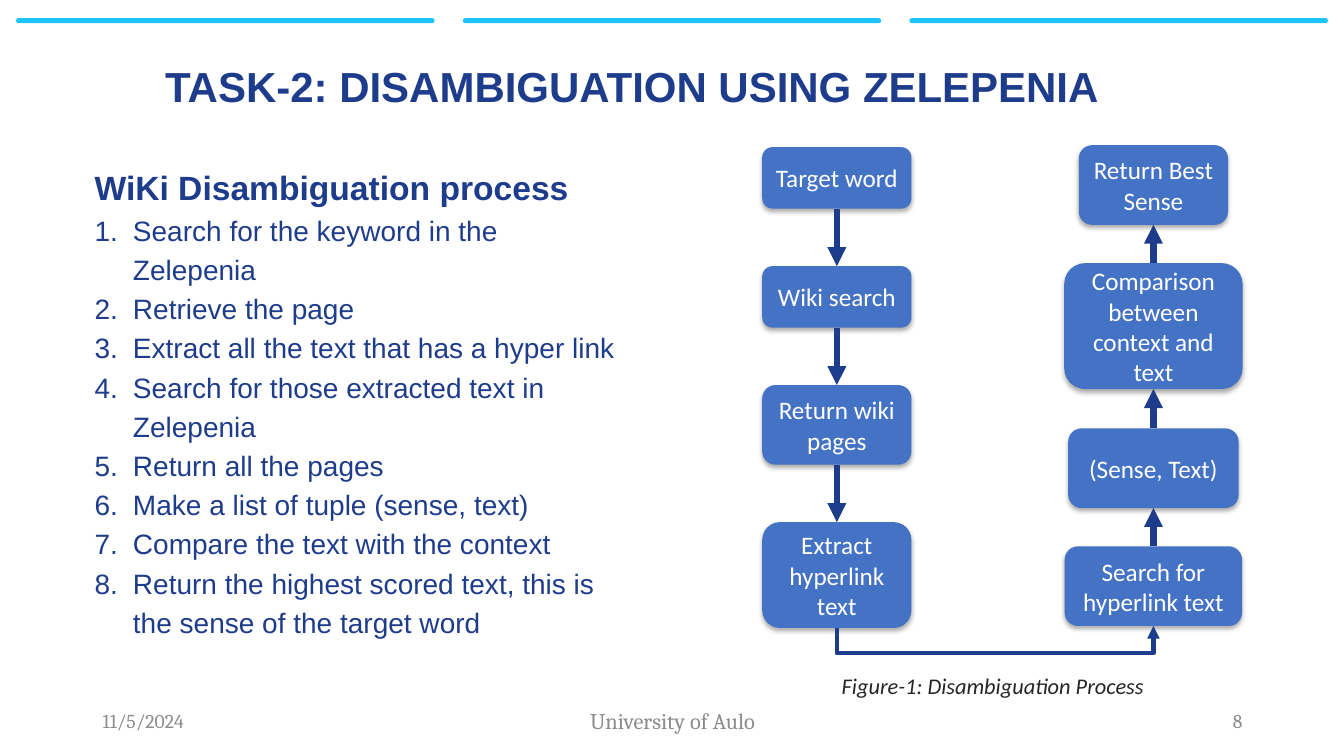
import lxml.etree
import pptx
import pptx.dml.color
import pptx.enum.shapes
import pptx.enum.text
import pptx.oxml.ns
import pptx.util

SHAPE = pptx.enum.shapes.MSO_SHAPE
CONNECTOR = pptx.enum.shapes.MSO_CONNECTOR
ALIGN = pptx.enum.text.PP_ALIGN
ANCHOR = pptx.enum.text.MSO_ANCHOR
TOP_SITE, BOTTOM_SITE = 0, 2
COLS, ROWS = 133.3, 75
NAVY, CYAN, BLUE = "1E3C8C", "1DC4FF", "4472C4"
GREY, INK, WHITE = "8C8C8C", "262626", "FFFFFF"


def rgb(color):
    return pptx.dml.color.RGBColor.from_string(color)


def add_xml(parent, tag, **attributes):
    values = {key: str(value) for key, value in attributes.items()}
    return lxml.etree.SubElement(parent, pptx.oxml.ns.qn(tag), values)


class Deck:
    def __init__(self):
        self.prs = pptx.Presentation()
        self.prs.slide_width = pptx.util.Inches(13.33)
        self.prs.slide_height = pptx.util.Inches(7.5)
        self.slide = self.prs.slides.add_slide(self.prs.slide_layouts[6])

    def x(self, cols):
        return round(self.prs.slide_width * cols / COLS)

    def y(self, rows):
        return round(self.prs.slide_height * rows / ROWS)

    def area(self, left, top, width, height):
        return self.x(left), self.y(top), self.x(width), self.y(height)

    def style(self, p, size, font, color, bold=False, italic=False, align=ALIGN.LEFT):
        p.alignment = align
        p.font.size = pptx.util.Pt(size)
        p.font.name = font
        p.font.color.rgb = rgb(color)
        p.font.bold = bold
        p.font.italic = italic

    def text(self, area, words, size, font, color, anchor=ANCHOR.TOP, wrap=True, **look):
        tf = self.slide.shapes.add_textbox(*self.area(*area)).text_frame
        tf.word_wrap = wrap
        tf.vertical_anchor = anchor
        p = tf.paragraphs[0]
        p.text = words
        self.style(p, size, font, color, **look)
        return tf

    def numbered(self, tf, items, size, font, color):
        indent = self.x(3.8)
        for item in items:
            p = tf.add_paragraph()
            p.text = item
            self.style(p, size, font, color)
            p.line_spacing = pptx.util.Pt(28)
            pPr = p._p.get_or_add_pPr()
            pPr.set("marL", str(indent))
            pPr.set("indent", str(-indent))
            add_xml(pPr, "a:buFont", typeface="+mj-lt")
            add_xml(pPr, "a:buAutoNum", type="arabicPeriod")

    def rounded(self, area, color):
        sp = self.slide.shapes.add_shape(SHAPE.ROUNDED_RECTANGLE, *self.area(*area))
        sp.fill.solid()
        sp.fill.fore_color.rgb = rgb(color)
        sp.line.fill.background()
        sp.shadow.inherit = False
        return sp

    def bar(self, area):
        self.rounded(area, CYAN).adjustments[0] = 0.5

    def step(self, center, top, width, height, words):
        sp = self.rounded((center - width / 2, top, width, height), BLUE)
        effects = sp._element.spPr.find(pptx.oxml.ns.qn("a:effectLst"))
        shadow = add_xml(effects, "a:outerShdw", blurRad=pptx.util.Pt(3.5),
                         dist=pptx.util.Pt(2.2), dir=90 * 60000, rotWithShape=0)
        add_xml(add_xml(shadow, "a:srgbClr", val="000000"), "a:alpha", val=32000)
        tf = sp.text_frame
        tf.word_wrap = True
        tf.vertical_anchor = ANCHOR.MIDDLE
        p = tf.paragraphs[0]
        p.text = words
        self.style(p, 18, "Calibri", WHITE, align=ALIGN.CENTER)
        return sp

    def connector(self, kind, start, end, weight):
        sp = self.slide.shapes.add_connector(kind, *start, *end)
        sp.line.color.rgb = rgb(NAVY)
        sp.line.width = pptx.util.Pt(weight)
        add_xml(sp.line._get_or_add_ln(), "a:tailEnd", type="triangle")
        add_xml(sp._element.spPr, "a:effectLst")
        return sp

    def arrow(self, source, target):
        sp = self.connector(CONNECTOR.STRAIGHT, (0, 0), (0, 0), 4.5)
        down = source.top < target.top
        sp.begin_connect(source, BOTTOM_SITE if down else TOP_SITE)
        sp.end_connect(target, TOP_SITE if down else BOTTOM_SITE)

    def under_link(self, source, target, drop):
        x1, x2 = (box.left + box.width // 2 for box in (source, target))
        y1, y2 = (box.top + box.height for box in (source, target))
        mid_x, mid_y = (x1 + x2) // 2, (y1 + y2) // 2
        half_w, half_h = (y1 - y2) // 2, (x2 - x1) // 2
        sp = self.connector(CONNECTOR.ELBOW, (mid_x + half_w, mid_y + half_h),
                            (mid_x - half_w, mid_y - half_h), 3)
        spPr = sp._element.spPr
        spPr.find(pptx.oxml.ns.qn("a:xfrm")).set("rot", str(90 * 60000))
        guides = spPr.find(".//" + pptx.oxml.ns.qn("a:avLst"))
        bend = round(-100000 * self.y(drop) / (y1 - y2))
        add_xml(guides, "a:gd", name="adj1", fmla=f"val {bend}")


def main():
    deck = Deck()
    footers = [
        (9.2, 30, "11/5/2024", 14, ALIGN.LEFT),
        (44.2, 45, "University of Aulo", 16, ALIGN.CENTER),
        (94.2, 30, "8", 14, ALIGN.RIGHT),
    ]
    for left, width, words, size, align in footers:
        deck.text((left, 69.5, width, 4), words, size, "Cambria", GREY,
                  anchor=ANCHOR.MIDDLE, align=align)

    for i in range(3):
        deck.bar((1.6 + 44.3 * i, 1.8, 41.5, 0.5))

    deck.text((15.4, 5.5, 95.5, 6.1), "TASK-2: DISAMBIGUATION USING ZELEPENIA",
              30, "Arial", NAVY, bold=True)
    process = deck.text((8.4, 16.1, 53.8, 47.9), "WiKi Disambiguation process",
                        24, "Arial", NAVY, bold=True)
    deck.numbered(process, [
        "Search for the keyword in the Zelepenia",
        "Retrieve the page",
        "Extract all the text that has a hyper link",
        "Search for those extracted text in Zelepenia",
        "Return all the pages",
        "Make a list of tuple (sense, text)",
        "Compare the text with the context",
        "Return the highest scored text, this is the sense of the target word",
    ], 20, "Arial", NAVY)

    columns = [
        (83, [
            (14.6, 14.8, 6.1, "Target word"),
            (26.4, 14.8, 6.1, "Wiki search"),
            (38.2, 14.8, 7.9, "Return wiki pages"),
            (51.8, 14.8, 10.5, "Extract hyperlink text"),
        ]),
        (114.4, [
            (54.2, 17.6, 7.9, "Search for hyperlink text"),
            (42.5, 16.9, 7.9, "(Sense, Text)"),
            (26.1, 17.7, 12.5, "Comparison between context and text"),
            (14.4, 14.8, 7.9, "Return Best Sense"),
        ]),
    ]
    flows = [[deck.step(center, *step) for step in steps] for center, steps in columns]
    for flow in flows:
        for source, target in zip(flow, flow[1:]):
            deck.arrow(source, target)
    deck.under_link(flows[0][-1], flows[1][0], 2.5)

    deck.text((82.5, 66.2, 32.4, 3.7), "Figure-1: Disambiguation Process",
              16, "Calibri", INK, wrap=False, italic=True)
    deck.prs.save("out.pptx")


if __name__ == "__main__":
    main()
